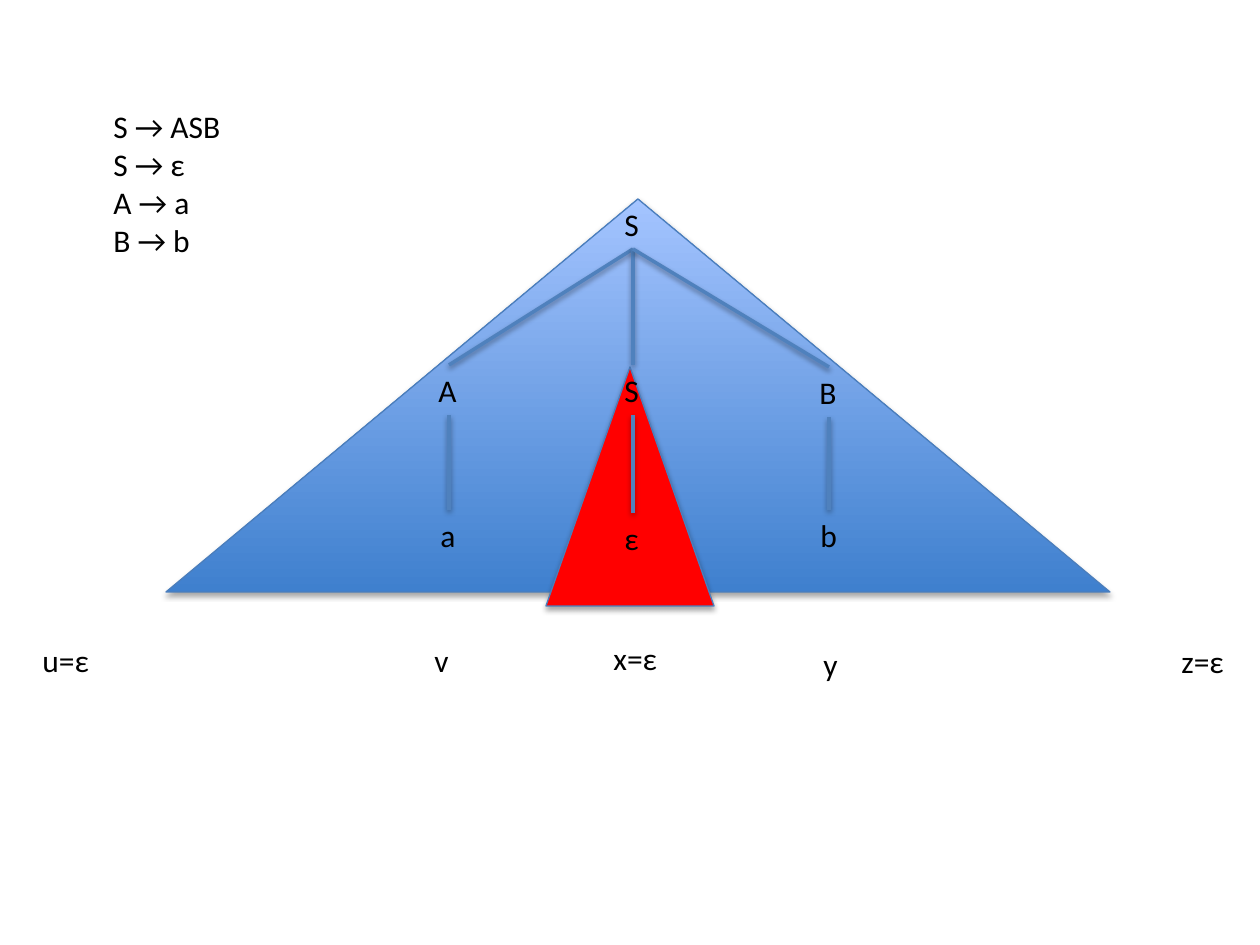
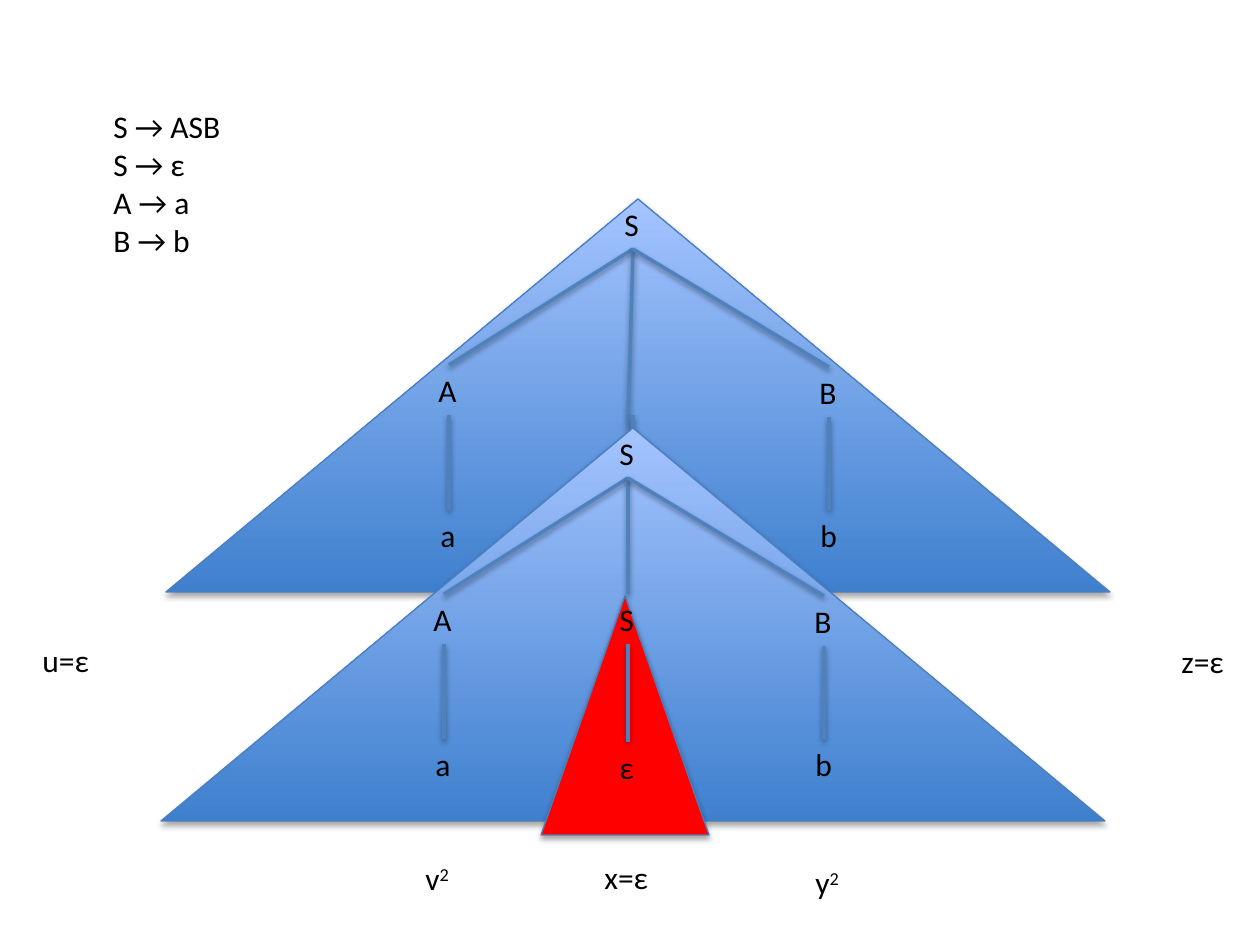
import lxml.etree
import pptx
import pptx.dml.color
import pptx.enum.shapes
import pptx.enum.text
import pptx.oxml
import pptx.oxml.ns
import pptx.util

PIXEL = 7257  # EMU in one pixel, at 126 pixels to the inch
TEXT, BRANCH, OUTLINE, CORE = "000000", "4F81BD", "4B7EBC", "FF0000"
GRADIENT = ["3F80CE", "A4C4FF"]  # bottom, top
LABEL_HEIGHT = 50
color = pptx.dml.color.RGBColor.from_string


def add_label(slide, lines, left, top, width, height=LABEL_HEIGHT):
    """Add lines of text; what follows a ^ is set as a superscript."""
    box = slide.shapes.add_textbox(left * PIXEL, top * PIXEL, width * PIXEL, height * PIXEL)
    frame = box.text_frame
    frame.word_wrap = False
    frame.auto_size = pptx.enum.text.MSO_AUTO_SIZE.SHAPE_TO_FIT_TEXT
    for number, line in enumerate(lines):
        paragraph = frame.add_paragraph() if number else frame.paragraphs[0]
        base, _, power = line.partition("^")
        paragraph.add_run().text = base
        if power:
            raised = paragraph.add_run()
            raised.text = power
            raised._r.get_or_add_rPr().set("baseline", "30000")
        paragraph.font.name = "Calibri"
        paragraph.font.size = pptx.util.Pt(18)
        paragraph.font.color.rgb = color(TEXT)


def outline(shape, line_color, points, distance, opacity):
    """Give a shape or connector its line and its downward shadow."""
    shape.line.color.rgb = color(line_color)
    shape.line.width = pptx.util.Pt(points)
    shape._element.spPr.append(pptx.oxml.parse_xml(
        f'<a:effectLst {pptx.oxml.ns.nsdecls("a")}>'
        f'<a:outerShdw blurRad="40000" dist="{distance}" dir="5400000" rotWithShape="0">'
        f'<a:srgbClr val="000000"><a:alpha val="{opacity}000"/></a:srgbClr>'
        '</a:outerShdw></a:effectLst>'))


presentation = pptx.Presentation()
presentation.slide_width = pptx.util.Inches(10)
presentation.slide_height = pptx.util.Inches(7.5)

grammar = ["S → ASB", "S → ε", "A → a", "B → b"]
root_x, root_top = 633, 199
root_bottom = root_top + LABEL_HEIGHT
# symbol, its width, centre x, top of symbol, terminal, top of terminal
branches = [("A", 44, 449, 365, "a", 510),
            ("S", 40, root_x, 365, "ε", 513),
            ("B", 43, 829, 367, "b", 510)]
outer_triangle = (166, root_top, 944, 393)
core_triangle = (546, 367, 168, 239)

# Each tree: shift right, shift down, whether it is the innermost one
# Each word part: text, left, top, width
u_part, z_part = ("u=ε", 30, 635, 73), ("z=ε", 1169, 636, 68)
derivations = [
    ([(0, 0, True)],
     [u_part, ("v", 422, 635, 40), ("x=ε", 601, 633, 69), ("y", 811, 639, 40), z_part]),
    ([(0, 0, False), (-5, 229, True)],
     [u_part, ("v^2", 413, 853, 50), ("x=ε", 592, 852, 69), ("y^2", 803, 857, 50), z_part]),
]

for trees, word_parts in derivations:
    slide = presentation.slides.add_slide(presentation.slide_layouts[6])

    for right, down, innermost in trees:
        for triangle_box in [outer_triangle, core_triangle][:1 + innermost]:
            left, top, width, height = triangle_box
            triangle = slide.shapes.add_shape(
                pptx.enum.shapes.MSO_SHAPE.ISOSCELES_TRIANGLE,
                (left + right) * PIXEL, (top + down) * PIXEL, width * PIXEL, height * PIXEL)
            if triangle_box is core_triangle:
                triangle.fill.solid()
                triangle.fill.fore_color.rgb = color(CORE)
            else:
                triangle.fill.gradient()
                triangle.fill.gradient_angle = 90
                for position, stop in enumerate(triangle.fill.gradient_stops):
                    stop.color.rgb = color(GRADIENT[position])
                    stop.position = position
            outline(triangle, OUTLINE, 0.75, 23000, 35)

        add_label(slide, ["S"], root_x - 21 + right, root_top + down, 40)
        for symbol, symbol_width, x, symbol_top, terminal, terminal_top in branches:
            end_x, end_y = x, symbol_top
            if symbol == "S" and not innermost:
                end_x, end_y = root_x - 5, root_top + 229  # root of the nested tree
            edges = [(root_x, root_bottom, end_x, end_y),
                     (x, symbol_top + LABEL_HEIGHT, x, terminal_top)]
            for x1, y1, x2, y2 in edges:
                edge = slide.shapes.add_connector(
                    pptx.enum.shapes.MSO_CONNECTOR.STRAIGHT,
                    (x1 + right) * PIXEL, (y1 + down) * PIXEL,
                    (x2 + right) * PIXEL, (y2 + down) * PIXEL)
                outline(edge, BRANCH, 2, 20000, 38)
            if symbol != "S" or innermost:
                add_label(slide, [symbol], x - symbol_width // 2 - 1 + right,
                          symbol_top + down, symbol_width)
                add_label(slide, [terminal], x - 21 + right, terminal_top + down, 41)

    add_label(slide, grammar, 101, 101, 137, 165)
    for part, left, top, width in word_parts:
        add_label(slide, [part], left, top, width)

presentation.save("out.pptx")
